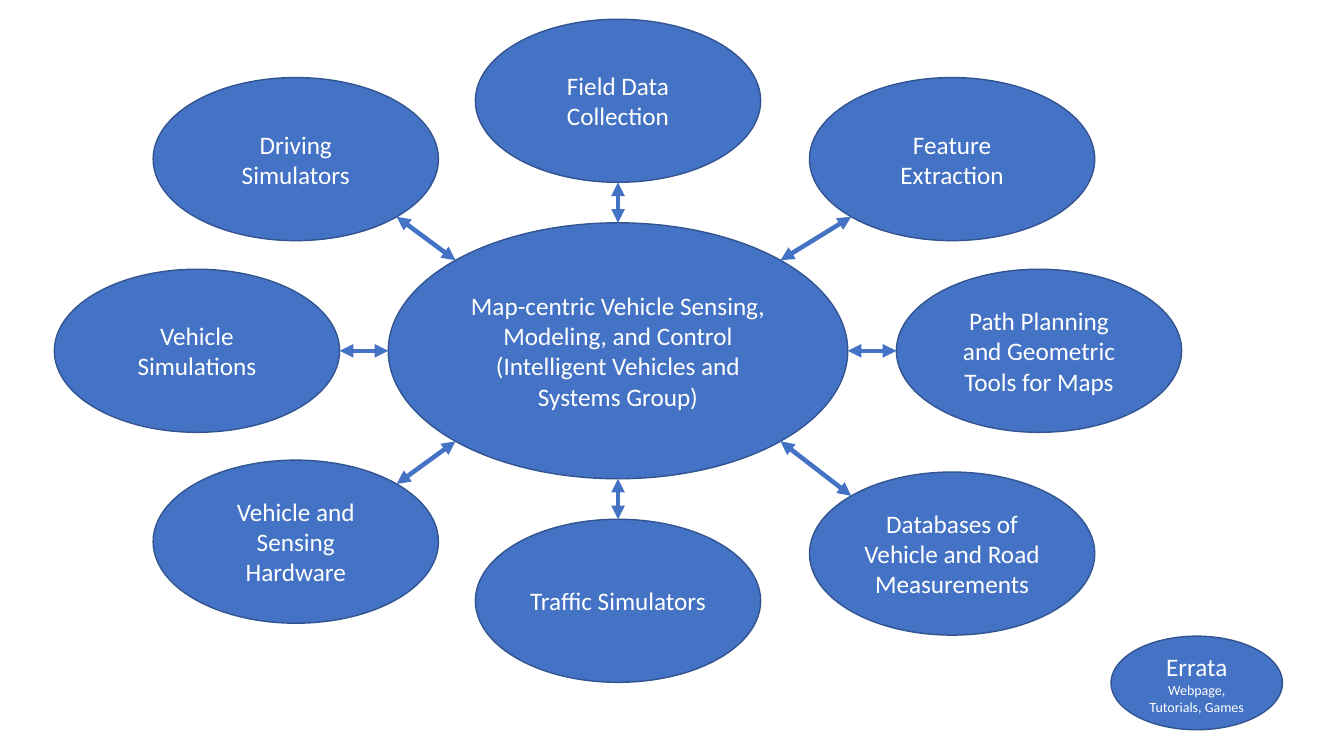
from math import hypot

from lxml.etree import SubElement
from pptx import Presentation
from pptx.dml.color import RGBColor
from pptx.enum.shapes import MSO_CONNECTOR, MSO_SHAPE
from pptx.enum.text import MSO_ANCHOR, PP_ALIGN
from pptx.oxml.ns import qn
from pptx.util import Cm, Pt

BLUE, OUTLINE, WHITE = "4472C4", "325491", "FFFFFF"
HUB_SIZE = (11.58, 6.45)
TOPIC_SIZE = (7.19, 4.11)
HUB_LINES = [("Map-centric Vehicle Sensing, Modeling, and Control", 18),
             ("(Intelligent Vehicles and Systems Group)", 18)]
ERRATA_LINES = [("Errata", 18), ("Webpage, Tutorials, Games", 10)]

# Topic, direction from the hub (x, y), distance between centres in cm (x, y)
TOPICS = [
    ("Field Data Collection", (0, -1), (0, 6.3)),
    ("Feature Extraction", (1, -1), (8.42, 4.83)),
    ("Path Planning and Geometric Tools for Maps", (1, 0), (10.61, 0)),
    ("Databases of Vehicle and Road Measurements", (1, 1), (8.42, 5.11)),
    ("Traffic Simulators", (0, 1), (0, 6.3)),
    ("Vehicle and Sensing Hardware", (-1, 1), (8.12, 4.81)),
    ("Vehicle Simulations", (-1, 0), (10.61, 0)),
    ("Driving Simulators", (-1, -1), (8.12, 4.83)),
]


def color(value):
    """Turn a hex string into a colour."""
    return RGBColor.from_string(value)


def add_ellipse(slide, center, size, lines):
    """Add a labelled ellipse; lines holds (text, point size) pairs."""
    (x, y), (width, height) = center, size
    shape = slide.shapes.add_shape(MSO_SHAPE.OVAL, Cm(x - width / 2), Cm(y - height / 2),
                                   Cm(width), Cm(height))
    shape.shadow.inherit = False
    shape.fill.solid()
    shape.fill.fore_color.rgb = color(BLUE)
    shape.line.color.rgb = color(OUTLINE)
    shape.line.width = Pt(1)
    frame = shape.text_frame
    frame.word_wrap = True
    frame.vertical_anchor = MSO_ANCHOR.MIDDLE
    for index, (text, size_in_points) in enumerate(lines):
        paragraph = frame.add_paragraph() if index else frame.paragraphs[0]
        paragraph.text = text
        paragraph.alignment = PP_ALIGN.CENTER
        paragraph.font.name = "Calibri"
        paragraph.font.size = Pt(size_in_points)
        paragraph.font.color.rgb = color(WHITE)


def edge_point(center, size, direction):
    """Return the point where an ellipse's edge meets one of eight directions."""
    length = hypot(*direction)
    return [Cm(middle + extent / 2 * step / length)
            for middle, extent, step in zip(center, size, direction)]


def add_double_arrow(slide, start, end):
    """Add a straight line with a triangle at both ends."""
    connector = slide.shapes.add_connector(MSO_CONNECTOR.STRAIGHT, *start, *end)
    connector.line.color.rgb = color(BLUE)
    connector.line.width = Pt(3.25)
    line = connector.line._get_or_add_ln()
    for tag in ("a:headEnd", "a:tailEnd"):
        SubElement(line, qn(tag), type="triangle")
    SubElement(connector._element.spPr, qn("a:effectLst"))


def add_hub_diagram(slide, left, top, width, height):
    """Place the hub in the middle of the box, with its topics and arrows around."""
    hub = (left + width / 2, top + height / 2)
    add_ellipse(slide, hub, HUB_SIZE, HUB_LINES)
    for text, direction, distance in TOPICS:
        center = [middle + step * gap for middle, step, gap in zip(hub, direction, distance)]
        add_ellipse(slide, center, TOPIC_SIZE, [(text, 18)])
        inward = [-step for step in direction]
        add_double_arrow(slide, edge_point(center, TOPIC_SIZE, inward),
                         edge_point(hub, HUB_SIZE, direction))


def add_errata(slide, left, top, width, height):
    """Fill the box with the separate errata ellipse."""
    add_ellipse(slide, (left + width / 2, top + height / 2), (width, height), ERRATA_LINES)


def main():
    """Build the slide and save it."""
    presentation = Presentation()
    presentation.slide_width, presentation.slide_height = Cm(33.87), Cm(19.05)
    slide = presentation.slides.add_slide(presentation.slide_layouts[6])
    add_hub_diagram(slide, 1.37, 0.48, 28.41, 16.72)
    add_errata(slide, 28, 16.03, 4.32, 2.36)
    presentation.save("out.pptx")


main()
